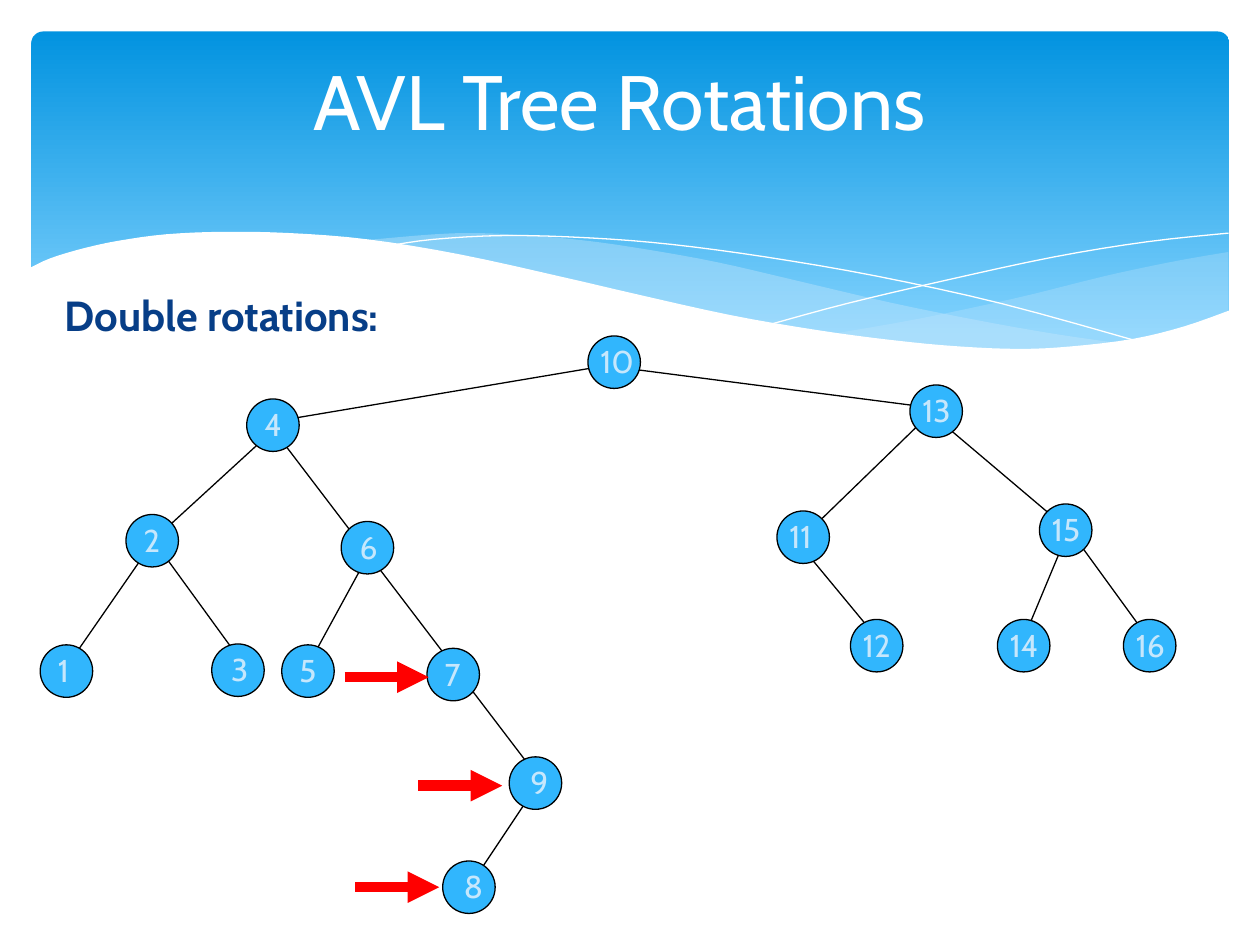
"""Build the slide on double rotations in an AVL tree."""
from dataclasses import dataclass

from lxml import etree
from pptx import Presentation
from pptx.dml.color import RGBColor
from pptx.enum import shapes, text
from pptx.oxml.ns import qn
from pptx.util import Pt

Point = tuple[float, float]


@dataclass(frozen=True)
class Theme:
    font: str = "Cabin"
    title_size: float = 44
    heading_size: float = 24
    label_size: float = 18
    white: str = "FFFFFF"
    black: str = "000000"
    header_top: str = "0293E0"
    header_bottom: str = "83D3FE"
    pale: str = "C6E7FC"
    node: str = "31B6FD"
    heading: str = "073E87"
    marker: str = "FF0000"
    thin: float = 0.75
    thick: float = 6


@dataclass(frozen=True)
class Node:
    key: int
    left: float
    top: float
    label_shift: float = 0


@dataclass(frozen=True)
class Line:
    start: Point
    end: Point


@dataclass(frozen=True)
class Wave:
    curves: list[list[Point]]
    fill: str | None = None
    opacity: int = 100


THEME = Theme()
DIAMETER = 30

WAVES = [
    Wave([[(702, 144), (673, 149), (641.5, 155.5), (620, 160.6), (579.6, 170.6),
           (525, 182.2), (476, 190.8)],
          [(476, 190.8), (497.5, 193.7), (527, 197.3), (562.3, 199.4), (586, 200),
           (615, 198.7), (640, 195.8), (663, 190.8), (683.3, 185), (702, 177.8)]],
         THEME.pale, 29),
    Wave([[(643, 196.6), (602.6, 190.8), (558, 182.9), (508.3, 172.8), (452.9, 159.8),
           (409.7, 149.8), (370, 142.6), (334.8, 137.5), (302.4, 134.6),
           (273.6, 133.2), (247.7, 133.9), (205.9, 137.5)],
          [(205.9, 137.5), (246.2, 143.3), (290.9, 151.9), (323.3, 159.8),
           (381.6, 172.8), (432.7, 183.6), (478.8, 191.5), (519.8, 197.3),
           (556.6, 199.4), (589, 200.2), (617, 199.4), (643, 196.6)]],
         THEME.pale, 40),
    Wave([[(222.5, 140.4), (247.7, 136.8), (288.7, 134.6), (337.7, 136), (383.8, 139.7),
           (437.8, 146.9), (500.4, 157.7), (572.4, 173.5), (653, 195.8)]]),
    Wave([[(441.4, 185), (483.8, 173.5), (538.6, 160.6), (601.9, 146.9),
           (655.2, 138.2), (702, 133.2)]]),
    Wave([[(703.4, 177.1), (676.8, 186.5), (647.3, 193.7), (612, 198), (582.5, 199.4),
           (547.9, 198), (509.8, 194.4), (466.6, 188.6), (416.9, 180), (362.2, 167.8),
           (321.8, 158.4), (262.8, 145.4), (210.2, 136.8), (165.6, 133.2),
           (127.4, 132.5), (95, 133.9), (68.4, 137.5), (48.2, 141.8), (28.8, 147.6),
           (16.6, 153.4)],
          [(16.6, 236.9), (703.4, 236.9)]], THEME.white),
]

NODES = [
    Node(10, 336, 192), Node(13, 520, 220), Node(15, 594, 288),
    Node(4, 141, 228, 3), Node(11, 444, 292), Node(2, 72, 294, 3),
    Node(6, 195, 298, 3.5), Node(7, 244, 370.5, 3), Node(12, 486, 354),
    Node(14, 570, 354), Node(16, 642, 354), Node(3, 121, 368, 4),
    Node(1, 23, 368.5, 3), Node(9, 291, 432.5, 5), Node(8, 253, 492, 5),
    Node(5, 161, 368.5, 3),
]

EDGES = [
    Line((210, 318), (174, 384)), Line((306, 450), (270, 504)),
    Line((90, 306), (36, 384)), Line((90, 312), (138, 378)),
    Line((156, 246), (84, 312)), Line((612, 304), (660, 370)),
    Line((456, 310), (504, 368)), Line((354, 210), (540, 234)),
    Line((162, 240), (352, 208)), Line((612, 300), (582, 372)),
    Line((152, 240), (312, 450)), Line((534, 234), (468, 298)),
    Line((534, 238), (612, 304)),
]

MARKERS = [
    Line((197, 387), (245, 387)), Line((239, 449), (287, 449)),
    Line((203, 507), (251, 507)),
]


def rgb(value: str) -> RGBColor:
    return RGBColor.from_string(value)


def smooth(knots: list[Point], steps: int = 4) -> list[Point]:
    """Return points along a Catmull-Rom curve through the knots."""
    if len(knots) < 3:
        return knots
    ends = [knots[0], *knots, knots[-1]]
    result = [knots[0]]
    for a, b, c, d in zip(ends, ends[1:], ends[2:], ends[3:]):
        for step in range(1, steps + 1):
            t = step / steps
            result.append(tuple(
                (2 * q + (r - p) * t + (2 * p - 5 * q + 4 * r - s) * t ** 2
                 + (3 * q - p - 3 * r + s) * t ** 3) / 2
                for p, q, r, s in zip(a, b, c, d)))
    return result


def write(box, content: str, *, size: float, color: str, bold: bool = False,
          align=text.PP_ALIGN.LEFT, anchor=text.MSO_ANCHOR.TOP, wrap: bool = True,
          before: float = 0) -> None:
    frame = box.text_frame
    frame.word_wrap = wrap
    frame.vertical_anchor = anchor
    para = frame.paragraphs[0]
    para.alignment = align
    para.space_before = Pt(before)
    span = para.add_run()
    span.text = content
    span.font.name = THEME.font
    span.font.size = Pt(size)
    span.font.bold = bold
    span.font.color.rgb = rgb(color)


def draw_header(page) -> None:
    header = page.shapes.add_shape(
        shapes.MSO_SHAPE.ROUNDED_RECTANGLE, Pt(18), Pt(18), Pt(684.5), Pt(194.5))
    header.adjustments[0] = 0.034
    header.shadow.inherit = False
    header.line.fill.background()
    header.fill.gradient()
    header.fill.gradient_angle = 270
    stops = zip(header.fill.gradient_stops, (0, 0.9),
                (THEME.header_top, THEME.header_bottom))
    for stop, position, color in stops:
        stop.position = position
        stop.color.rgb = rgb(color)


def draw_wave(page, wave: Wave) -> None:
    points = [(Pt(x), Pt(y)) for curve in wave.curves for x, y in smooth(curve)]
    builder = page.shapes.build_freeform(*points[0])
    builder.add_line_segments(points[1:], close=wave.fill is not None)
    shape = builder.convert_to_shape()
    shape.shadow.inherit = False
    if wave.fill is None:
        shape.fill.background()
        shape.line.color.rgb = rgb(THEME.white)
        shape.line.width = Pt(0)
        return
    shape.line.fill.background()
    shape.fill.solid()
    shape.fill.fore_color.rgb = rgb(wave.fill)
    if wave.opacity < 100:
        color = shape.element.spPr.find(f"{qn('a:solidFill')}/{qn('a:srgbClr')}")
        etree.SubElement(color, qn("a:alpha")).set("val", str(wave.opacity * 1000))


def draw_line(page, line: Line, *, color: str, width: float, arrow: bool = False) -> None:
    connector = page.shapes.add_connector(
        shapes.MSO_CONNECTOR.STRAIGHT, *(Pt(v) for v in line.start + line.end))
    connector.line.color.rgb = rgb(color)
    connector.line.width = Pt(width)
    properties = connector.element.spPr
    if arrow:
        outline = properties.find(qn("a:ln"))
        etree.SubElement(outline, qn("a:tailEnd")).set("type", "triangle")
    etree.SubElement(properties, qn("a:effectLst"))


def draw_node(page, node: Node) -> None:
    circle = page.shapes.add_shape(
        shapes.MSO_SHAPE.OVAL, Pt(node.left), Pt(node.top), Pt(DIAMETER), Pt(DIAMETER))
    circle.shadow.inherit = False
    circle.fill.solid()
    circle.fill.fore_color.rgb = rgb(THEME.node)
    circle.line.color.rgb = rgb(THEME.black)
    circle.line.width = Pt(THEME.thin)
    label = page.shapes.add_textbox(
        Pt(node.left + node.label_shift), Pt(node.top), Pt(36), Pt(29))
    write(label, str(node.key), size=THEME.label_size, color=THEME.pale)


def main() -> None:
    deck = Presentation()
    deck.slide_width, deck.slide_height = Pt(720), Pt(540)
    page = deck.slides.add_slide(deck.slide_layouts[5])
    draw_header(page)
    for wave in WAVES:
        draw_wave(page, wave)
    title = page.shapes.title
    page.shapes[-1].element.addnext(title.element)
    title.left, title.top, title.width, title.height = Pt(48), Pt(12), Pt(612), Pt(90)
    write(title, "AVL Tree Rotations", size=THEME.title_size, color=THEME.white,
          align=text.PP_ALIGN.CENTER, anchor=text.MSO_ANCHOR.MIDDLE)
    for edge in EDGES:
        draw_line(page, edge, color=THEME.black, width=THEME.thin)
    for node in NODES:
        draw_node(page, node)
    for marker in MARKERS:
        draw_line(page, marker, color=THEME.marker, width=THEME.thick, arrow=True)
    heading = page.shapes.add_textbox(Pt(30), Pt(162), Pt(672), Pt(48))
    write(heading, "Double rotations:", size=THEME.heading_size, color=THEME.heading,
          bold=True, before=4.8)
    deck.save("out.pptx")


if __name__ == "__main__":
    main()
